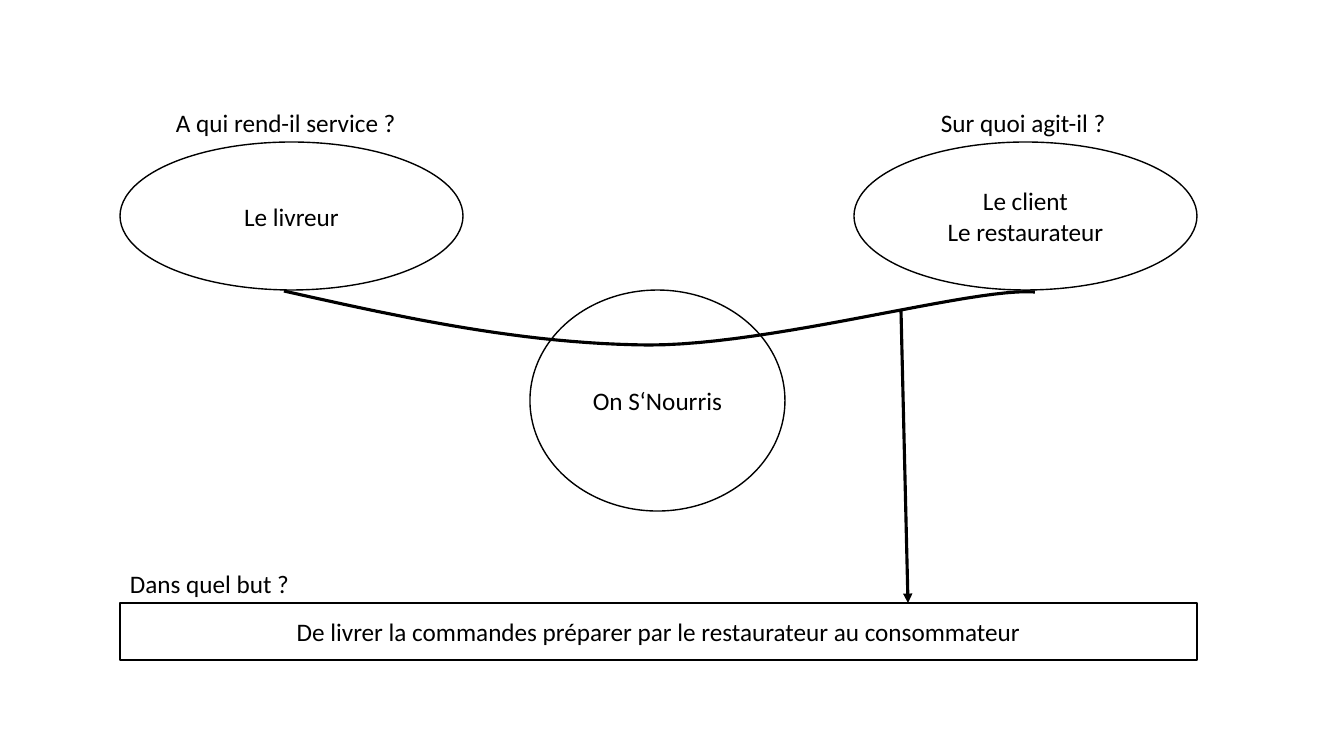
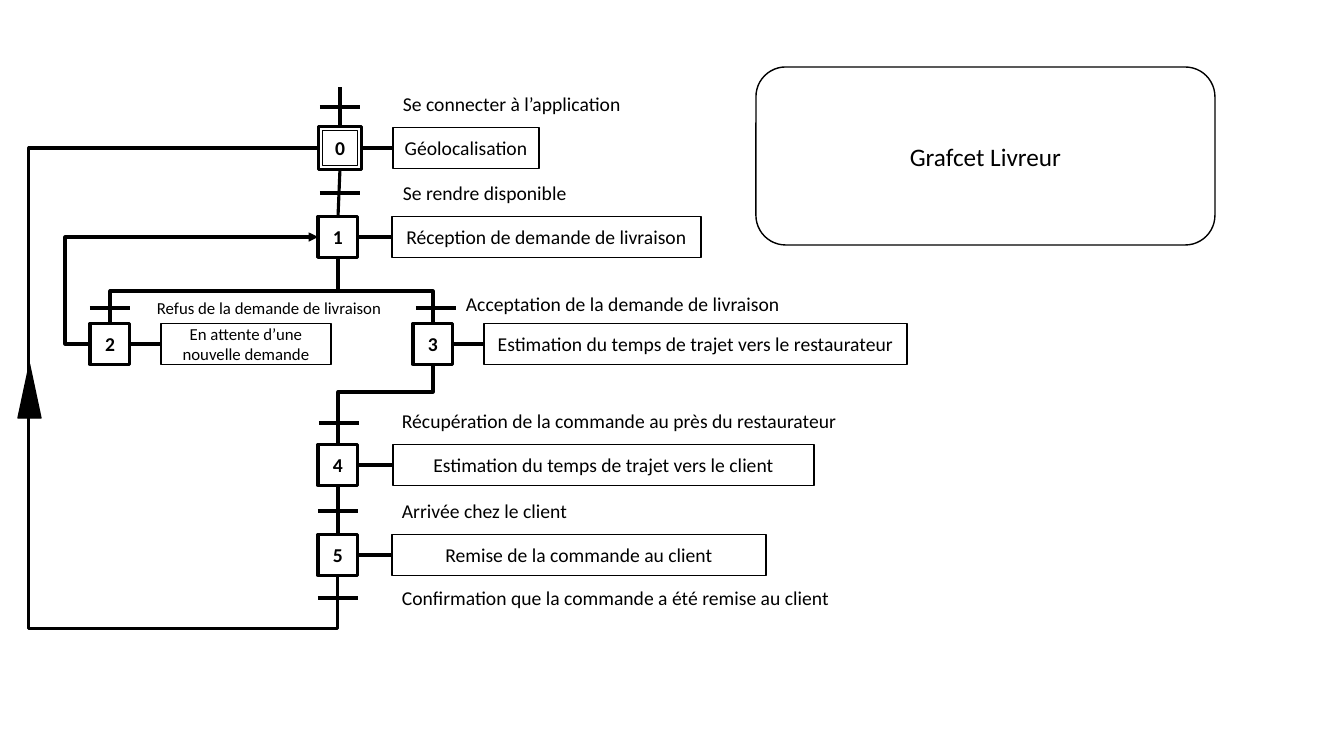
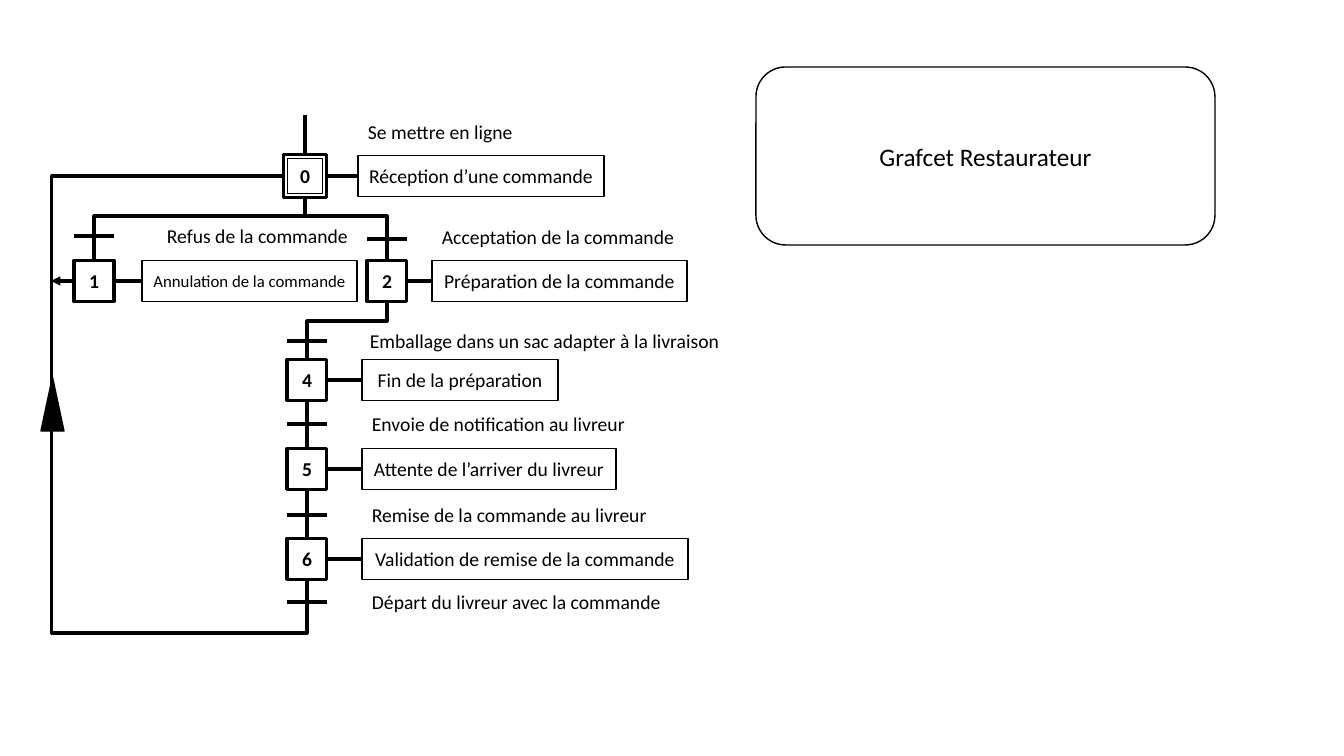
from lxml.etree import SubElement
from pptx import Presentation
from pptx.dml.color import RGBColor
from pptx.enum.shapes import MSO_CONNECTOR, MSO_SHAPE
from pptx.enum.text import MSO_ANCHOR, MSO_AUTO_SIZE, PP_ALIGN
from pptx.oxml.ns import qn
from pptx.util import Pt

SCALE = 914400 / 100.8
FONT = "Calibri"
BLACK = "000000"
THIN, THICK, BAR = 1, 2.25, 3
LARGE, NORMAL, SMALL = 18, 14, 12
STEP_WIDTH, STEP_HEIGHT = 40, 41
START_SIZE, START_INNER = 43, 35
LABEL_HEIGHTS = {LARGE: 40, NORMAL: 34, SMALL: 30}


def emu(pixels):
    return round(pixels * SCALE)


def colour(value):
    return RGBColor.from_string(value)


def write(shape, text, size, align, bold=False):
    frame = shape.text_frame
    frame.text = text
    for para in frame.paragraphs:
        para.alignment = align
        for span in para.runs:
            span.font.name = FONT
            span.font.size = Pt(size)
            span.font.bold = bold
            span.font.color.rgb = colour(BLACK)
    return frame


def stroke(shape, weight):
    shape.line.color.rgb = colour(BLACK)
    shape.line.width = Pt(weight)


def outline(page, kind, left, top, width, height, text="", size=NORMAL, weight=THIN, bold=False):
    shape = page.shapes.add_shape(kind, emu(left), emu(top), emu(width), emu(height))
    shape.shadow.inherit = False
    shape.fill.background()
    stroke(shape, weight)
    frame = write(shape, text, size, PP_ALIGN.CENTER, bold)
    frame.vertical_anchor = MSO_ANCHOR.MIDDLE
    frame.word_wrap = True
    return shape


def label(page, left, middle, width, text, size=NORMAL):
    height = LABEL_HEIGHTS[size]
    box = page.shapes.add_textbox(emu(left), emu(middle - height / 2), emu(width), emu(height))
    frame = write(box, text, size, PP_ALIGN.LEFT)
    frame.word_wrap = False
    frame.auto_size = MSO_AUTO_SIZE.SHAPE_TO_FIT_TEXT


def finish_connector(connector, weight, arrow):
    stroke(connector, weight)
    properties = connector.element.spPr
    if arrow:
        SubElement(properties.get_or_add_ln(), qn("a:tailEnd"), type="triangle")
    SubElement(properties, qn("a:effectLst"))


def line(page, start, end, weight=THICK, arrow=False):
    connector = page.shapes.add_connector(
        MSO_CONNECTOR.STRAIGHT, *(emu(value) for value in (*start, *end)))
    finish_connector(connector, weight, arrow)


def elbow(page, *points, arrow=False):
    start, end = points[0], points[-1]
    vertical = start[0] == points[1][0]
    along, across = (1, 0) if vertical else (0, 1)
    forward, sideways = end[along] - start[along], end[across] - start[across]
    if vertical:
        turn = 90 if sideways < 0 else 270
    else:
        turn = 0 if sideways > 0 else 180
    bends = [(points[1][along] - start[along]) / forward]
    if len(points) == 5:
        bends.append((points[2][across] - start[across]) / sideways)

    width, height = abs(forward), abs(sideways)
    left = (start[0] + end[0] - width) / 2
    top = (start[1] + end[1] - height) / 2
    connector = page.shapes.add_connector(
        MSO_CONNECTOR.ELBOW, emu(left), emu(top), emu(left + width), emu(top + height))
    frame = connector.element.spPr.find(qn("a:xfrm"))
    frame.set("rot", str(turn * 60000))
    if (forward > 0) == (turn >= 180):
        frame.set("flipH", "1")
    geometry = connector.element.spPr.find(qn("a:prstGeom"))
    geometry.set("prst", f"bentConnector{len(points) - 1}")
    guides = geometry.find(qn("a:avLst"))
    for index, bend in enumerate(bends, 1):
        SubElement(guides, qn("a:gd"), name=f"adj{index}", fmla=f"val {round(bend * 100000)}")
    finish_connector(connector, THICK, arrow)


def curve(page, start, *segments, pieces=24):
    points = []
    origin = start
    for segment in segments:
        for piece in range(1, pieces + 1):
            t = piece / pieces
            weights = ((1 - t) ** 3, 3 * t * (1 - t) ** 2, 3 * t * t * (1 - t), t ** 3)
            controls = (origin, *segment)
            points.append(tuple(
                emu(sum(weight * control[axis] for weight, control in zip(weights, controls)))
                for axis in (0, 1)))
        origin = segment[-1]
    builder = page.shapes.build_freeform(emu(start[0]), emu(start[1]))
    builder.add_line_segments(points, close=False)
    shape = builder.convert_to_shape()
    shape.shadow.inherit = False
    shape.fill.background()
    stroke(shape, THICK)


def step(page, number, centre, middle, action, left, width, size=NORMAL):
    initial = number == 0
    step_width, step_height = (START_SIZE, START_SIZE) if initial else (STEP_WIDTH, STEP_HEIGHT)
    if initial:
        outline(page, MSO_SHAPE.RECTANGLE, centre - START_INNER / 2, middle - START_INNER / 2,
                START_INNER, START_INNER)
    outline(page, MSO_SHAPE.RECTANGLE, centre - step_width / 2, middle - step_height / 2,
            step_width, step_height, str(number), weight=THICK, bold=True)
    outline(page, MSO_SHAPE.RECTANGLE, left, middle - STEP_HEIGHT / 2, width, STEP_HEIGHT,
            action, size)
    line(page, (centre + step_width / 2, middle), (left, middle))


def transition(page, centre, middle, condition, left, width, size=NORMAL, lift=0):
    line(page, (centre - STEP_WIDTH / 2, middle), (centre + STEP_WIDTH / 2, middle), BAR)
    label(page, left, middle - lift, width, condition, size)


def return_arrow(page, left, top):
    arrow = outline(page, MSO_SHAPE.ISOSCELES_TRIANGLE, left, top, 23, 54)
    arrow.fill.solid()
    arrow.fill.fore_color.rgb = colour(BLACK)


def grafcet(page, title, steps, transitions):
    for entry in steps:
        step(page, *entry)
    for entry in transitions:
        transition(page, *entry)
    outline(page, MSO_SHAPE.ROUNDED_RECTANGLE, 756, 67, 459, 178, title, LARGE)


def need_diagram(page):
    outline(page, MSO_SHAPE.RECTANGLE, 120, 603, 1077, 57,
            "De livrer la commandes préparer par le restaurateur au consommateur", LARGE)
    for left, text in ((120, "Le livreur"), (854, "Le client\nLe restaurateur")):
        outline(page, MSO_SHAPE.OVAL, left, 142, 343, 148, text, LARGE)
    outline(page, MSO_SHAPE.OVAL, 530, 290, 255, 221, "On S‘Nourris", LARGE)
    curve(page, (284, 291),
          ((404, 318), (524, 344), (649, 345)),
          ((774, 345), (974, 287), (1035, 292)))
    line(page, (901, 309), (908, 603), arrow=True)
    label(page, 166, 122, 243, "A qui rend-il service ?", LARGE)
    label(page, 931, 122, 187, "Sur quoi agit-il ?", LARGE)
    label(page, 120, 583, 194, "Dans quel but ?", LARGE)


def courier_grafcet(page):
    steps = (
        (0, 340, 148, "Géolocalisation", 393, 146),
        (1, 338, 237, "Réception de demande de livraison", 392, 309),
        (2, 110, 344, "En attente d’une nouvelle demande", 161, 170, SMALL),
        (3, 433, 344, "Estimation du temps de trajet vers le restaurateur", 484, 423),
        (4, 338, 465, "Estimation du temps de trajet vers le client", 393, 421),
        (5, 338, 555, "Remise de la commande au client", 392, 374),
    )
    transitions = (
        (340, 107, "Se connecter à l’application", 393, 240, NORMAL, 3),
        (340, 193, "Se rendre disponible", 393, 185),
        (110, 308, "Refus de la demande de livraison", 147, 246, SMALL),
        (436, 308, "Acceptation de la demande de livraison", 456, 338, NORMAL, 4),
        (339, 423, "Récupération de la commande au près du restaurateur", 392, 455, NORMAL, 2),
        (338, 511, "Arrivée chez le client", 392, 187),
        (338, 598, "Confirmation que la commande a été remise au client", 392, 452),
    )
    grafcet(page, "Grafcet Livreur", steps, transitions)
    line(page, (340, 126), (340, 87))
    line(page, (340, 169), (338, 217))
    line(page, (338, 486), (338, 534))
    for branch in (110, 433):
        elbow(page, (338, 258), (338, 291), (branch, 291), (branch, 324))
    elbow(page, (90, 344), (65, 344), (65, 237), (318, 237), arrow=True)
    elbow(page, (433, 365), (433, 392), (338, 392), (338, 444))
    elbow(page, (338, 575), (338, 629), (29, 629), (29, 148), (318, 148))
    return_arrow(page, 18, 364)


def restaurant_grafcet(page):
    steps = (
        (0, 305, 176, "Réception d’une commande", 358, 246),
        (1, 94, 281, "Annulation de la commande", 142, 215, SMALL),
        (2, 387, 281, "Préparation de la commande", 432, 255),
        (4, 307, 380, "Fin de la préparation", 362, 196),
        (5, 307, 469, "Attente de l’arriver du livreur", 362, 254),
        (6, 307, 559, "Validation de remise de la commande", 362, 326),
    )
    transitions = (
        (94, 236, "Refus de la commande", 157, 203),
        (387, 239, "Acceptation de la commande", 432, 255, NORMAL, 2),
        (307, 341, "Emballage dans un sac adapter à la livraison", 360, 373),
        (307, 424, "Envoie de notification au livreur", 362, 276),
        (307, 515, "Remise de la commande au livreur", 362, 297),
        (307, 602, "Départ du livreur avec la commande", 362, 311),
    )
    grafcet(page, "Grafcet Restaurateur", steps, transitions)
    label(page, 358, 132, 167, "Se mettre en ligne")
    line(page, (305, 154), (305, 115))
    line(page, (307, 401), (307, 449))
    line(page, (307, 490), (307, 538))
    for branch in (94, 387):
        elbow(page, (305, 198), (305, 216), (branch, 216), (branch, 261))
    elbow(page, (387, 302), (387, 321), (307, 321), (307, 360))
    elbow(page, (307, 579), (307, 633), (52, 633), (52, 176), (283, 176))
    line(page, (74, 281), (51, 281), arrow=True)
    return_arrow(page, 41, 377)


def main():
    deck = Presentation()
    deck.slide_width, deck.slide_height = emu(1344), emu(756)
    for draw in (need_diagram, courier_grafcet, restaurant_grafcet):
        draw(deck.slides.add_slide(deck.slide_layouts[6]))
    deck.save("out.pptx")


main()
